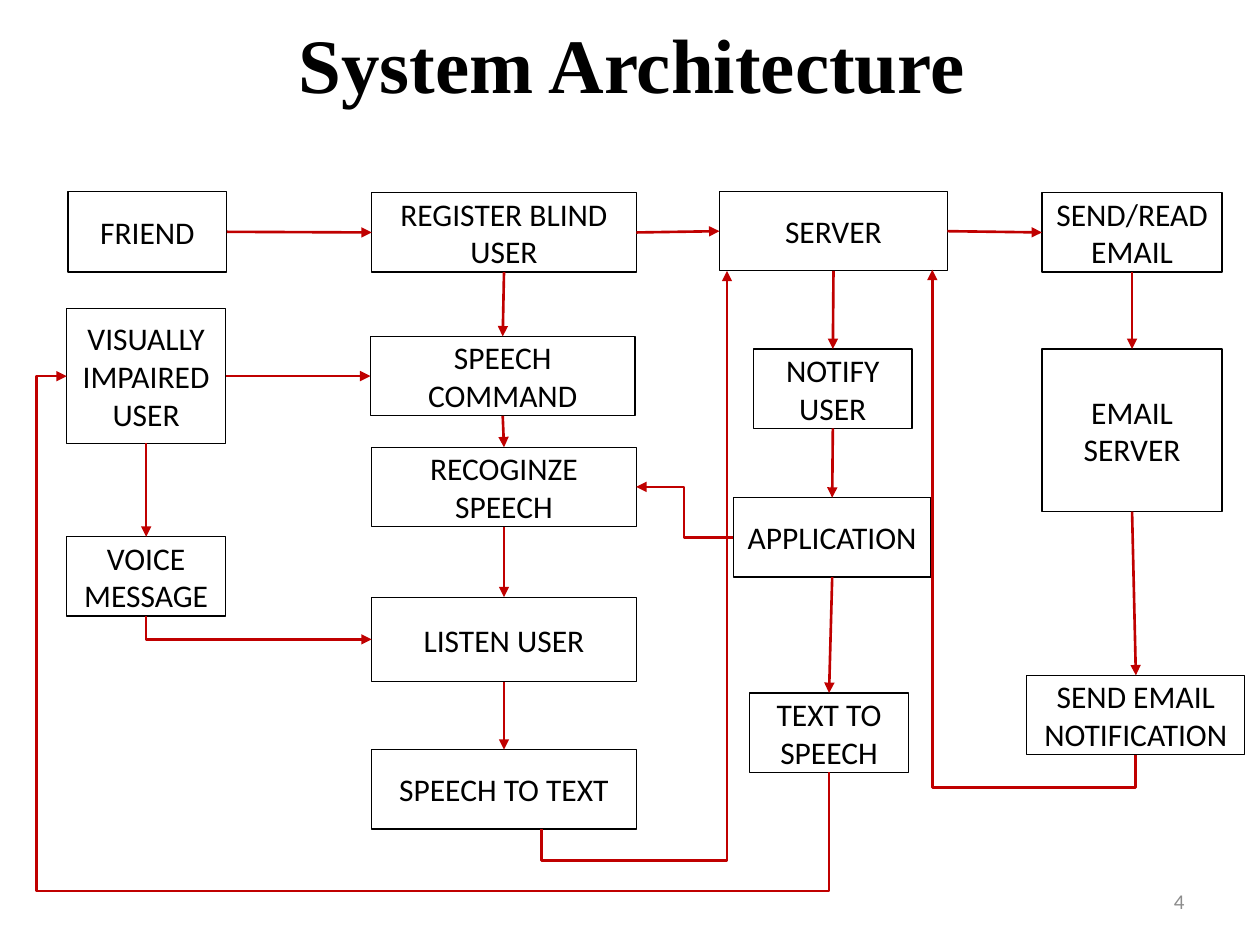
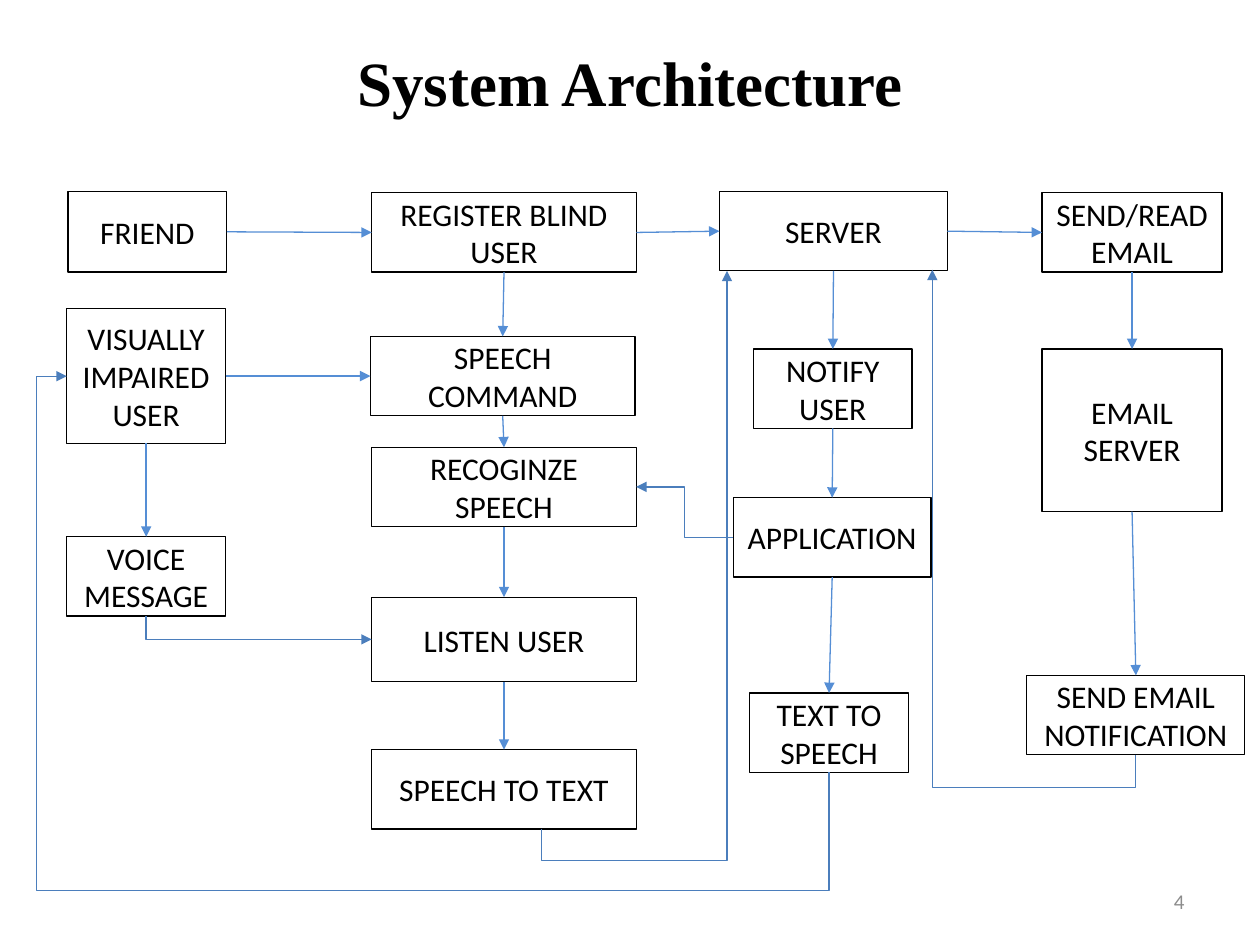
import pptx
import pptx.util
import pptx.dml.color
import pptx.enum.shapes
import pptx.enum.text
import pptx.oxml.ns
from lxml import etree

Inches, Pt = pptx.util.Inches, pptx.util.Pt
RGB = pptx.dml.color.RGBColor.from_string
ALIGN = pptx.enum.text.PP_ALIGN
SHAPE = pptx.enum.shapes.MSO_SHAPE
WIRE = pptx.enum.shapes.MSO_CONNECTOR
qn = pptx.oxml.ns.qn

THEME = {
    "ink": "000000", "paper": "FFFFFF", "grey": "8C8C8C",
    "head": "Times New Roman", "body": "Calibri",
    "label": 18, "number": 12, "edge": 0.75,
}

TITLE = "System Architecture"
NUMBER = "4"

# One entry per slide: title place and size, colours and width of the arrows
SLIDES = [
    {"at": (0.53, 0, 8.97, 0.99), "size": 44,
     "straight": "C00000", "bent": "C00000", "width": 1.5},
    {"at": (0.5, 0.3, 9, 0.69), "size": 36,
     "straight": "558ED5", "bent": "4B7EBC", "width": 0.75},
]

# Label: left, top, width, height
BOXES = {
    "FRIEND": (0.54, 1.52, 1.26, 0.64),
    "VISUALLY IMPAIRED USER": (0.53, 2.45, 1.26, 1.07),
    "VOICE MESSAGE": (0.53, 4.26, 1.26, 0.63),
    "REGISTER BLIND USER": (2.95, 1.53, 2.1, 0.63),
    "SPEECH COMMAND": (2.94, 2.67, 2.1, 0.63),
    "RECOGINZE SPEECH": (2.95, 3.55, 2.1, 0.63),
    "LISTEN USER": (2.95, 4.74, 2.1, 0.67),
    "SPEECH TO TEXT": (2.95, 5.95, 2.1, 0.63),
    "SERVER": (5.71, 1.52, 1.81, 0.63),
    "NOTIFY USER": (5.98, 2.77, 1.26, 0.63),
    "APPLICATION": (5.82, 3.95, 1.57, 0.63),
    "TEXT TO SPEECH": (5.95, 5.5, 1.26, 0.63),
    "SEND/READ EMAIL": (8.27, 1.53, 1.43, 0.63),
    "EMAIL SERVER": (8.27, 2.77, 1.43, 1.29),
    "SEND EMAIL NOTIFICATION": (8.15, 5.36, 1.73, 0.63),
}

# Straight arrows run along these chains
ACROSS = [
    ("FRIEND", "REGISTER BLIND USER", "SERVER", "SEND/READ EMAIL"),
    ("VISUALLY IMPAIRED USER", "SPEECH COMMAND"),
]
DOWN = [
    ("VISUALLY IMPAIRED USER", "VOICE MESSAGE"),
    ("REGISTER BLIND USER", "SPEECH COMMAND", "RECOGINZE SPEECH",
     "LISTEN USER", "SPEECH TO TEXT"),
    ("SERVER", "NOTIFY USER", "APPLICATION", "TEXT TO SPEECH"),
    ("SEND/READ EMAIL", "EMAIL SERVER", "SEND EMAIL NOTIFICATION"),
]

# Connection sites of a rectangle
TOP, LEFT, BOTTOM, RIGHT = range(4)

# Bent arrows: start, end, leaves upright?, places of the turns.
# An end is a box with a site, or a free point.
BENT = [
    ((4.3, 6.58), (5.77, 2.15), True, (6.83,)),
    (("TEXT TO SPEECH", BOTTOM), ("VISUALLY IMPAIRED USER", LEFT),
     True, (7.07, 0.29)),
    (("VOICE MESSAGE", BOTTOM), ("LISTEN USER", LEFT), True, ()),
    (("APPLICATION", LEFT), ("RECOGINZE SPEECH", RIGHT), False, (5.43,)),
    (("SEND EMAIL NOTIFICATION", BOTTOM), (7.4, 2.14), True, (6.25,)),
]


def write(shape, text, size, font, color, align, bold=False):
    """Put one styled line of text, centred in height, in a shape."""
    frame = shape.text_frame
    frame.text = text
    frame.word_wrap = True
    frame.vertical_anchor = pptx.enum.text.MSO_ANCHOR.MIDDLE
    para = frame.paragraphs[0]
    para.alignment = align
    face = para.runs[0].font
    face.size, face.name, face.bold = Pt(size), font, bold
    face.color.rgb = RGB(color)


def add_text(slide, at, *style, **more):
    """Add a text box."""
    write(slide.shapes.add_textbox(*map(Inches, at)), *style, **more)


def add_box(slide, label, at):
    """Add one labelled box of the diagram."""
    box = slide.shapes.add_shape(SHAPE.RECTANGLE, *map(Inches, at))
    box.shadow.inherit = False
    box.fill.solid()
    box.fill.fore_color.rgb = RGB(THEME["paper"])
    box.line.color.rgb = RGB(THEME["ink"])
    box.line.width = Pt(THEME["edge"])
    write(box, label, THEME["label"], THEME["body"], THEME["ink"],
          ALIGN.CENTER)
    return box


def locate(end):
    """Give the point of a box site, or the free point itself."""
    if end[0] not in BOXES:
        return end
    x, y, w, h = BOXES[end[0]]
    return [(x + w / 2, y), (x, y + h / 2),
            (x + w / 2, y + h), (x + w, y + h / 2)][end[1]]


def add_arrow(slide, boxes, kind, start, end, color, width):
    """Add an arrow and tie it to the boxes at its ends."""
    wire = slide.shapes.add_connector(
        kind, *map(Inches, (*locate(start), *locate(end))))
    if start[0] in boxes:
        wire.begin_connect(boxes[start[0]], start[1])
    if end[0] in boxes:
        wire.end_connect(boxes[end[0]], end[1])
    wire.line.color.rgb = RGB(color)
    wire.line.width = Pt(width)
    props = wire._element.spPr
    etree.SubElement(props.find(qn("a:ln")), qn("a:tailEnd"), type="triangle")
    etree.SubElement(props, qn("a:effectLst"))
    return wire


def bend(wire, start, end, upright, turns):
    """Shape an elbow arrow so that it turns at the given places."""
    (x, y), (u, v) = locate(start), locate(end)
    dx, dy = u - x, v - y
    w, h = (abs(dy), abs(dx)) if upright else (abs(dx), abs(dy))
    wire.left, wire.top = Inches((x + u - w) / 2), Inches((y + v - h) / 2)
    wire.width, wire.height = Inches(w), Inches(h)
    flips = (dy < 0, dx > 0) if upright else (dx < 0, dy < 0)
    props = wire._element.spPr
    frame = props.find(qn("a:xfrm"))
    frame.set("rot", str(90 * 60000 if upright else 0))
    for key, flip in zip(("flipH", "flipV"), flips):
        frame.set(key, str(int(flip)))

    geom = props.find(qn("a:prstGeom"))
    geom.set("prst", f"bentConnector{len(turns) + 2}")
    guides = geom.find(qn("a:avLst"))
    if guides is None:
        guides = etree.SubElement(geom, qn("a:avLst"))
    axes = [(x, dx), (y, dy)]
    if upright:
        axes.reverse()
    for i, (turn, (base, span)) in enumerate(zip(turns, axes), 1):
        share = round((turn - base) / span * 100000)
        etree.SubElement(guides, qn("a:gd"), name=f"adj{i}",
                         fmla=f"val {share}")


def build(deck, look):
    """Build one slide of the diagram."""
    slide = deck.slides.add_slide(deck.slide_layouts[6])
    add_text(slide, look["at"], TITLE, look["size"], THEME["head"],
             THEME["ink"], ALIGN.CENTER, bold=True)
    boxes = {label: add_box(slide, label, at) for label, at in BOXES.items()}
    for chains, out, into in ((ACROSS, RIGHT, LEFT), (DOWN, BOTTOM, TOP)):
        for chain in chains:
            for a, b in zip(chain, chain[1:]):
                add_arrow(slide, boxes, WIRE.STRAIGHT, (a, out), (b, into),
                          look["straight"], look["width"])
    for start, end, upright, turns in BENT:
        wire = add_arrow(slide, boxes, WIRE.ELBOW, start, end,
                         look["bent"], look["width"])
        bend(wire, start, end, upright, turns)
    add_text(slide, (7.17, 6.95, 2.33, 0.4), NUMBER, THEME["number"],
             THEME["body"], THEME["grey"], ALIGN.RIGHT)


deck = pptx.Presentation()
deck.slide_width, deck.slide_height = Inches(10), Inches(7.5)
for look in SLIDES:
    build(deck, look)
deck.save("out.pptx")
